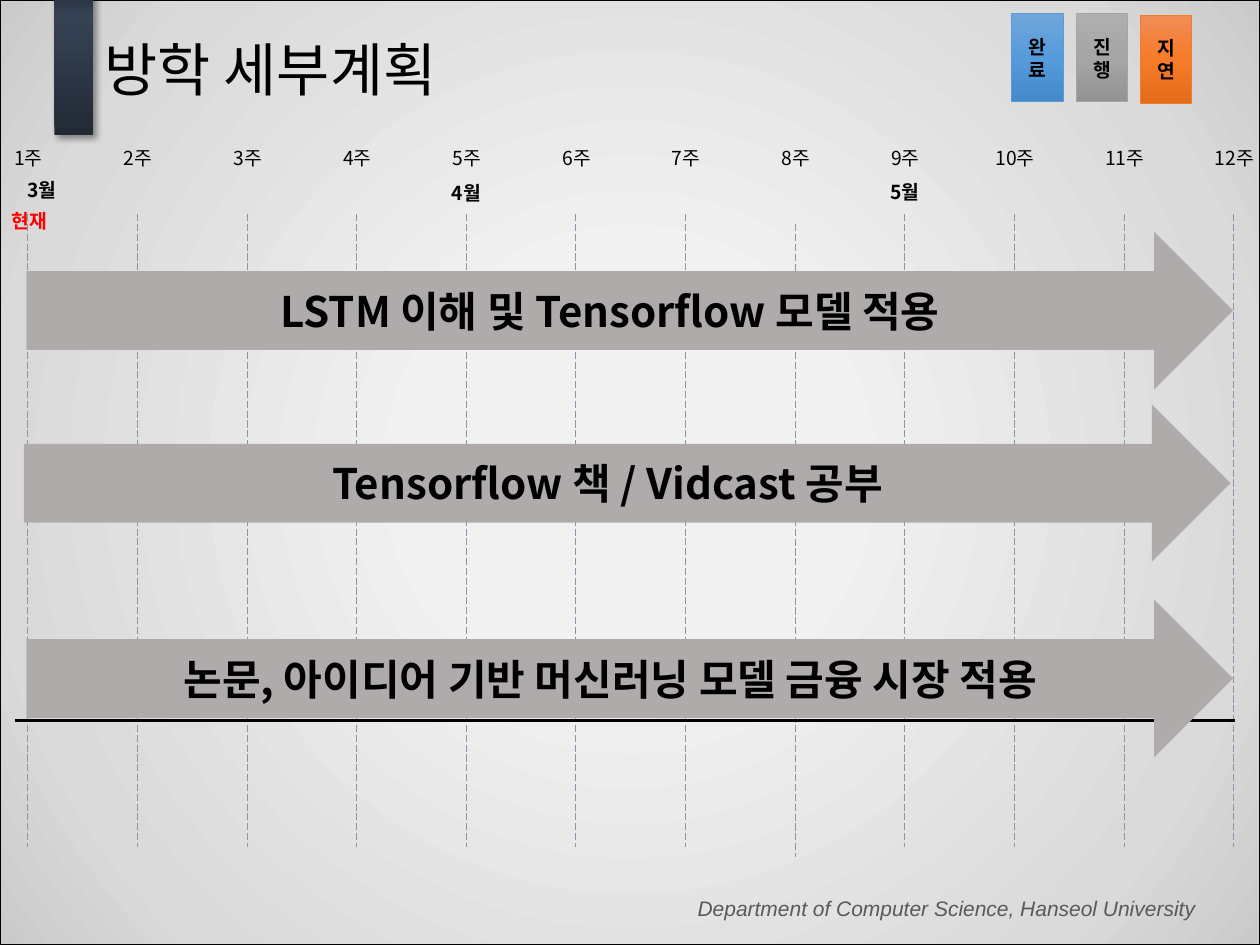
"""Build a twelve-week vacation plan with one arrow for each running task."""
from lxml.etree import SubElement
from pptx import Presentation
from pptx.dml.color import RGBColor
from pptx.enum.dml import MSO_LINE
from pptx.enum.shapes import MSO_CONNECTOR, MSO_SHAPE
from pptx.enum.text import MSO_ANCHOR, PP_ALIGN
from pptx.oxml.ns import qn
from pptx.util import Pt

TITLE = "방학 세부계획"
FOOTER = "Department of Computer Science, Hanseol University"
NOW = "현재"
WEEKS = [f"{number}주" for number in range(1, 13)]
MONTHS = [("3월", -11.5, 98.6), ("4월", 231.1, 100.1), ("5월", 481.7, 99.4)]
LEGEND = [
    ("완\v료", 578.2, 7.9, "5B9BD5", ("71A6DB", "559BDB", "448ACA")),
    ("진\v행", 614.9, 7.9, "A5A5A5", ("AFAFAF", "A5A5A5", "939393")),
    ("지\v연", 651.6, 8.6, "ED7D31", ("F18C57", "F67B28", "E56C19")),
]
TASKS = [
    ("LSTM 이해 및 Tensorflow 모델 적용", 15.1, 132.5),
    ("Tensorflow 책 / Vidcast 공부", 13.7, 231.1),
    ("논문, 아이디어 기반 머신러닝 모델 금융 시장 적용", 15.1, 342.7),
]

THEME = {
    "font": "Noto Sans CJK KR", "footer_font": "Arial",
    "title": 33, "task": 24, "footer": 12, "label": 11,
    "ink": "000000", "now": "FF0000", "muted": "595959",
    "grid": "8497B0", "arrow": "AFABAB",
    "backdrop": [(27, "F1F1F1"), (80, "DADADA"), (100, "CACACA")],
    "bar": [(0, "222A35"), (80, "364355"), (100, "222A35")],
}
WIDTH, HEIGHT = 720, 540
WEEK_LEFT, WEEK_STEP = 15.84, 62.65
LABEL_WIDTH, LABEL_HEIGHT = 42.5, 20.9
GRID_TOP, GRID_LENGTH = 122.4, 361.4
LATE_WEEK, LATE_SHIFT = "8주", 5.8


def color(value):
    return RGBColor.from_string(value)


def write(shape, text, size, ink="ink", bold=False, italic=False, font="font",
          align=PP_ALIGN.CENTER, anchor=MSO_ANCHOR.TOP, side=7.2):
    frame = shape.text_frame
    frame.text = text
    frame.word_wrap = True
    frame.vertical_anchor = anchor
    frame.margin_left = frame.margin_right = Pt(side)
    frame.margin_top = frame.margin_bottom = Pt(3.6)
    para = frame.paragraphs[0]
    para.alignment = align
    for span in para.runs:
        span.font.size = Pt(THEME[size])
        span.font.bold, span.font.italic = bold, italic
        span.font.color.rgb = color(THEME[ink])
        span.font.name = THEME[font]
        SubElement(span.font._element, qn("a:ea"), typeface=THEME[font])
    for line_break in para._p.findall(qn("a:br")):
        SubElement(line_break, qn("a:rPr"), sz=str(THEME[size] * 100))
    return para


def add_label(page, text, left, top, width, height, size="label", **style):
    box = page.shapes.add_textbox(Pt(left), Pt(top), Pt(width), Pt(height))
    write(box, text, size, **style)


def add_block(page, kind, left, top, width, height, line=None):
    shape = page.shapes.add_shape(kind, Pt(left), Pt(top), Pt(width), Pt(height))
    shape.shadow.inherit = False
    if line:
        shape.line.color.rgb = color(line)
        shape.line.width = Pt(0.5)
    else:
        shape.line.fill.background()
    return shape


def fill_gradient(shape, stops, angle=None):
    shape.fill.gradient()
    gradient = shape._element.spPr.find(qn("a:gradFill"))
    for child in list(gradient):
        gradient.remove(child)
    stop_list = SubElement(gradient, qn("a:gsLst"))
    for position, value in stops:
        stop = SubElement(stop_list, qn("a:gs"), pos=str(position * 1000))
        SubElement(stop, qn("a:srgbClr"), val=value)
    if angle is None:
        route = SubElement(gradient, qn("a:path"), path="circle")
        SubElement(route, qn("a:fillToRect"), l="50000", t="50000", r="50000", b="50000")
    else:
        SubElement(gradient, qn("a:lin"), ang=str(angle * 60000), scaled="0")


def add_shadow(shape):
    effects = shape._element.spPr.find(qn("a:effectLst"))
    shadow = SubElement(effects, qn("a:outerShdw"), blurRad=str(Pt(4)), dist=str(Pt(3)),
                        dir=str(45 * 60000), algn="tl", rotWithShape="0")
    tint = SubElement(shadow, qn("a:srgbClr"), val=THEME["ink"])
    SubElement(tint, qn("a:alpha"), val="40000")


def add_line(page, start, end, ink, width, dash=None):
    line = page.shapes.add_connector(MSO_CONNECTOR.STRAIGHT, *map(Pt, start + end))
    line.line.color.rgb = color(THEME[ink])
    line.line.width = Pt(width)
    if dash:
        line.line.dash_style = dash
    SubElement(line._element.spPr, qn("a:effectLst"))


def add_frame(page):
    backdrop = add_block(page, MSO_SHAPE.RECTANGLE, 0, 0, WIDTH, HEIGHT, THEME["ink"])
    fill_gradient(backdrop, THEME["backdrop"])
    add_label(page, FOOTER, 139, 508.3, 551.5, 21.6, "footer", ink="muted",
              italic=True, font="footer_font", align=PP_ALIGN.RIGHT)
    bar = add_block(page, MSO_SHAPE.RECTANGLE, 31, -7.9, 22.3, 85)
    fill_gradient(bar, THEME["bar"], 270)
    add_shadow(bar)
    title = page.shapes.title
    title.left, title.top, title.width, title.height = map(Pt, (52.6, -10.8, 620.6, 104.4))
    para = write(title, TITLE, "title", align=PP_ALIGN.LEFT, anchor=MSO_ANCHOR.MIDDLE)
    para.line_spacing = 0.9
    page.shapes._spTree.append(title._element)


def add_legend(page):
    for text, left, top, line, shades in LEGEND:
        key = add_block(page, MSO_SHAPE.RECTANGLE, left, top, 29.5, 50.4, line)
        fill_gradient(key, zip((0, 50, 100), shades), 90)
        write(key, text, "label", bold=True, anchor=MSO_ANCHOR.MIDDLE, side=0)


def add_calendar(page):
    for index, week in enumerate(WEEKS):
        center = WEEK_LEFT + index * WEEK_STEP
        top = GRID_TOP + (LATE_SHIFT if week == LATE_WEEK else 0)
        add_line(page, (center, top), (center, top + GRID_LENGTH), "grid", 0.5,
                 MSO_LINE.LONG_DASH)
        add_label(page, week, center - LABEL_WIDTH / 2 + 0.36, 79.9, LABEL_WIDTH, LABEL_HEIGHT)
    for month, left, top in MONTHS:
        add_label(page, month, left, top, 70.6, LABEL_HEIGHT, bold=True)
    add_line(page, (8.6, 411.8), (705.6, 411.8), "ink", 1.5)
    add_label(page, NOW, 0.7, 116.6, 32.4, 19.4, ink="now", bold=True,
              anchor=MSO_ANCHOR.MIDDLE, side=0)


def add_tasks(page):
    for text, left, top in TASKS:
        arrow = add_block(page, MSO_SHAPE.RIGHT_ARROW, left, top, 689.5, 90)
        arrow.fill.solid()
        arrow.fill.fore_color.rgb = color(THEME["arrow"])
        write(arrow, text, "task", bold=True, anchor=MSO_ANCHOR.MIDDLE, side=0)


def main():
    deck = Presentation()
    deck.slide_width, deck.slide_height = Pt(WIDTH), Pt(HEIGHT)
    page = deck.slides.add_slide(deck.slide_layouts[5])
    add_frame(page)
    add_legend(page)
    add_calendar(page)
    add_tasks(page)
    deck.save("out.pptx")


if __name__ == "__main__":
    main()
